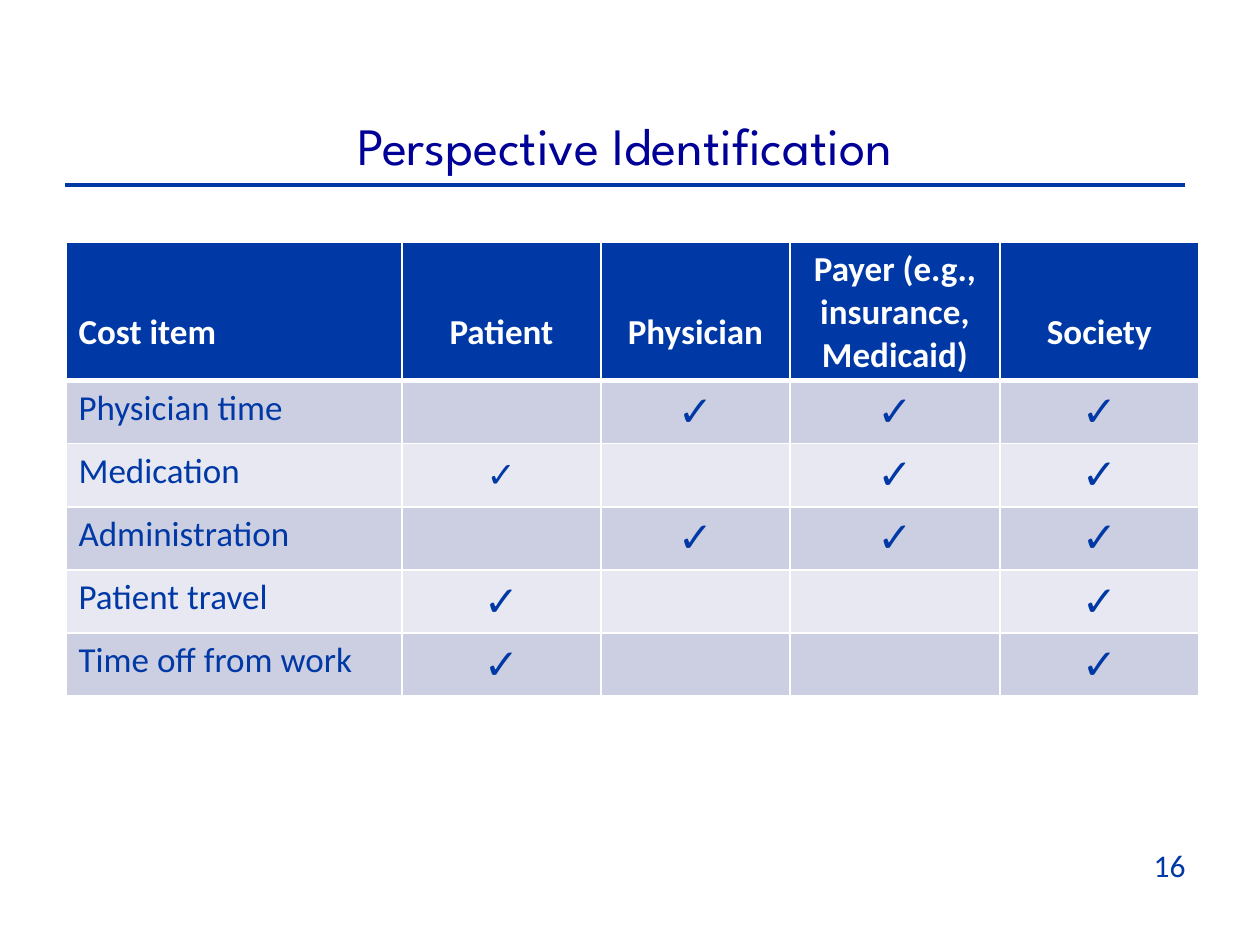
from dataclasses import dataclass

import pptx
import pptx.dml.color
import pptx.enum.shapes
import pptx.enum.text
import pptx.oxml
import pptx.oxml.ns
import pptx.util

PX = pptx.util.Inches(1) / 126
ALIGN = pptx.enum.text.PP_ALIGN
ANCHOR = pptx.enum.text.MSO_ANCHOR


@dataclass(frozen=True)
class Theme:
    title_font: str = "League Spartan"
    body_font: str = "Calibri"
    title_color: str = "000099"
    blue: str = "0039A6"
    white: str = "FFFFFF"
    bands: tuple = ("CCCEE1", "E7E8F1")
    title_size: int = 30
    label_size: int = 20
    tick_size: int = 24
    number_size: int = 18
    rule_width: float = 1.75
    border: int = 1
    header_border: int = 3


THEME = Theme()
TICK = "✓"
PERSPECTIVES = ["Patient", "Physician", "Payer (e.g., insurance, Medicaid)", "Society"]
COSTS = [
    ("Physician time", {"Physician", "Payer", "Society"}),
    ("Medication", {"Patient", "Payer", "Society"}),
    ("Administration", {"Physician", "Payer", "Society"}),
    ("Patient travel", {"Patient", "Society"}),
    ("Time off from work", {"Patient", "Society"}),
]
COLUMN_WIDTHS = [336, 199, 189, 210, 199]
HEADER_HEIGHT, ROW_HEIGHT = 138, 63
SINGLE_LINE_MARGIN = 27


def emu(px):
    return pptx.util.Emu(round(px * PX))


def rgb(value):
    return pptx.dml.color.RGBColor.from_string(value)


def write(frame, text, font, size, color, align, bold=False):
    paragraph = frame.paragraphs[0]
    paragraph.text = text
    paragraph.alignment = align
    paragraph.font.name = font
    paragraph.font.size = pptx.util.Pt(size)
    paragraph.font.color.rgb = rgb(color)
    paragraph.font.bold = bold


def place_title(slide, left, top, width, height):
    title = slide.shapes.title
    title.left, title.top = emu(left), emu(top)
    title.width, title.height = emu(width), emu(height)
    title.text_frame.word_wrap = True
    title.text_frame.auto_size = pptx.enum.text.MSO_AUTO_SIZE.NONE
    title.text_frame.vertical_anchor = ANCHOR.TOP
    write(title.text_frame, "Perspective Identification", THEME.title_font,
          THEME.title_size, THEME.title_color, ALIGN.CENTER)


def place_rule(slide, left, top, width):
    rule = slide.shapes.add_connector(
        pptx.enum.shapes.MSO_CONNECTOR.STRAIGHT,
        emu(left), emu(top), emu(left + width), emu(top))
    rule.line.color.rgb = rgb(THEME.blue)
    rule.line.width = pptx.util.Pt(THEME.rule_width)
    rule._element.spPr.append(pptx.oxml.parse_xml(
        f'<a:effectLst {pptx.oxml.ns.nsdecls("a")}/>'))


def style_cell(cell, fill, top, bottom):
    sides = {"L": THEME.border, "R": THEME.border, "T": top, "B": bottom}
    properties = cell._tc.get_or_add_tcPr()
    for side, points in sides.items():
        properties.append(pptx.oxml.parse_xml(
            f'<a:ln{side} {pptx.oxml.ns.nsdecls("a")} w="{pptx.util.Pt(points)}">'
            f'<a:solidFill><a:srgbClr val="{THEME.white}"/></a:solidFill></a:ln{side}>'))
    cell.fill.solid()
    cell.fill.fore_color.rgb = rgb(fill)


def fill_header(table):
    for column, heading in enumerate(["Cost item"] + PERSPECTIVES):
        cell = table.cell(0, column)
        style_cell(cell, THEME.blue, THEME.border, THEME.header_border)
        write(cell.text_frame, heading, THEME.body_font, THEME.label_size, THEME.white,
              ALIGN.CENTER if column else ALIGN.LEFT, bold=True)
        if heading.startswith("Payer"):
            cell.vertical_anchor = ANCHOR.MIDDLE
        else:
            cell.vertical_anchor = ANCHOR.BOTTOM
            cell.margin_bottom = emu(SINGLE_LINE_MARGIN)


def fill_cost(table, row, item, payers):
    band = THEME.bands[(row - 1) % 2]
    top = THEME.header_border if row == 1 else THEME.border
    label = table.cell(row, 0)
    style_cell(label, band, top, THEME.border)
    write(label.text_frame, item, THEME.body_font, THEME.label_size, THEME.blue, ALIGN.LEFT)
    for column, perspective in enumerate(PERSPECTIVES, 1):
        cell = table.cell(row, column)
        style_cell(cell, band, top, THEME.border)
        name = perspective.split()[0]
        if name in payers:
            small = (item, name) == ("Medication", "Patient")
            cell.vertical_anchor = ANCHOR.MIDDLE
            write(cell.text_frame, TICK, THEME.body_font,
                  THEME.label_size if small else THEME.tick_size,
                  THEME.blue, ALIGN.CENTER, bold=True)


def place_costs(slide, left, top):
    heights = [HEADER_HEIGHT] + [ROW_HEIGHT] * len(COSTS)
    table = slide.shapes.add_table(
        len(heights), len(COLUMN_WIDTHS), emu(left), emu(top),
        emu(sum(COLUMN_WIDTHS)), emu(sum(heights))).table
    table.horz_banding = False
    for column, width in zip(table.columns, COLUMN_WIDTHS):
        column.width = emu(width)
    for row, height in zip(table.rows, heights):
        row.height = emu(height)
    fill_header(table)
    for row, (item, payers) in enumerate(COSTS, 1):
        fill_cost(table, row, item, payers)


def place_page_number(slide, left, top, width, height):
    number = slide.shapes.add_textbox(emu(left), emu(top), emu(width), emu(height))
    number.text_frame.word_wrap = True
    write(number.text_frame, "16", THEME.body_font, THEME.number_size, THEME.blue, ALIGN.RIGHT)


def main():
    deck = pptx.Presentation()
    deck.slide_width, deck.slide_height = emu(1260), emu(945)
    slide = deck.slides.add_slide(deck.slide_layouts[5])
    slide.background.fill.solid()
    slide.background.fill.fore_color.rgb = rgb(THEME.white)
    place_title(slide, 39, 107, 1172, 77)
    place_rule(slide, 65, 185, 1120)
    place_page_number(slide, 905, 840, 293, 66)
    place_costs(slide, 66, 242)
    deck.save("out.pptx")


if __name__ == "__main__":
    main()
